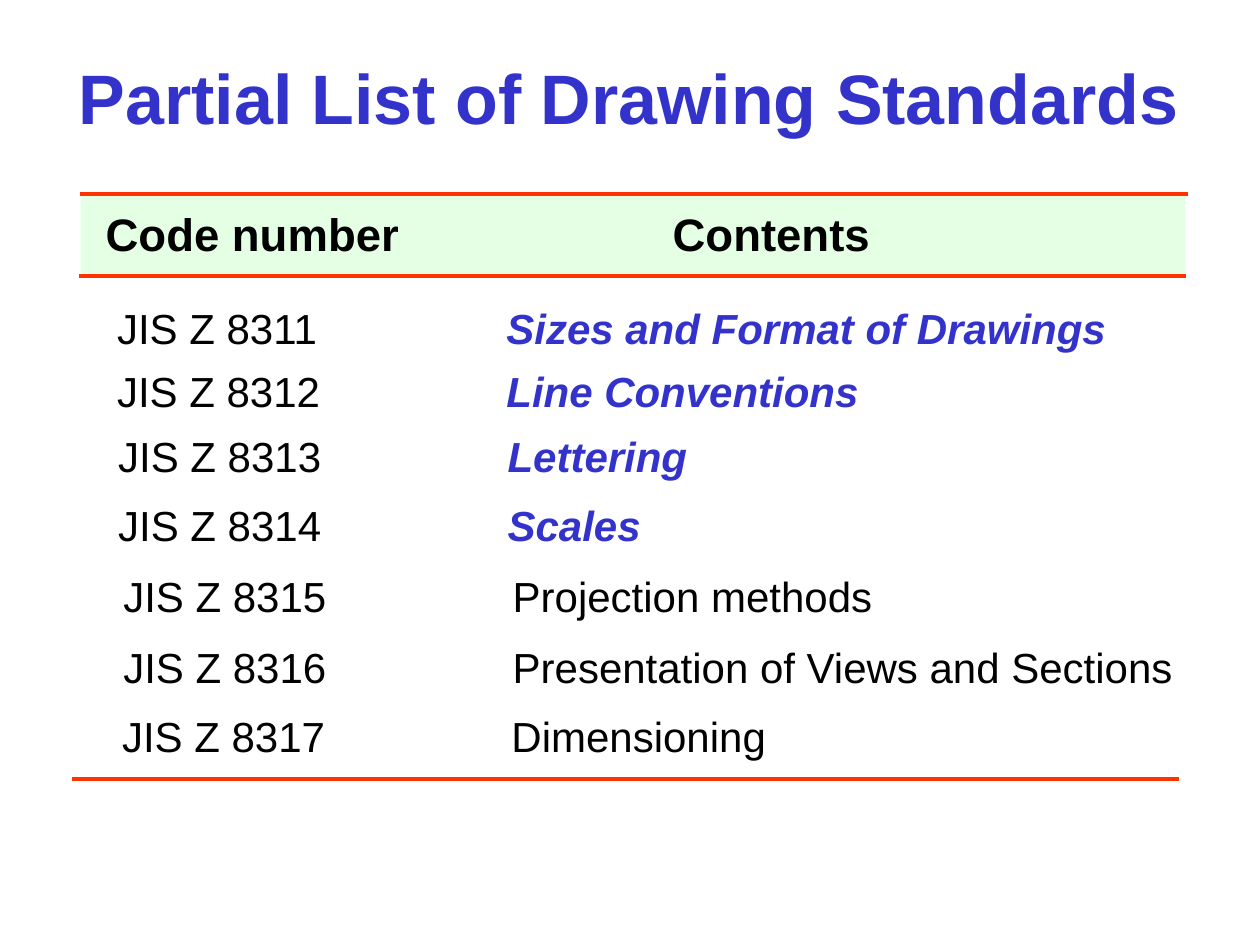
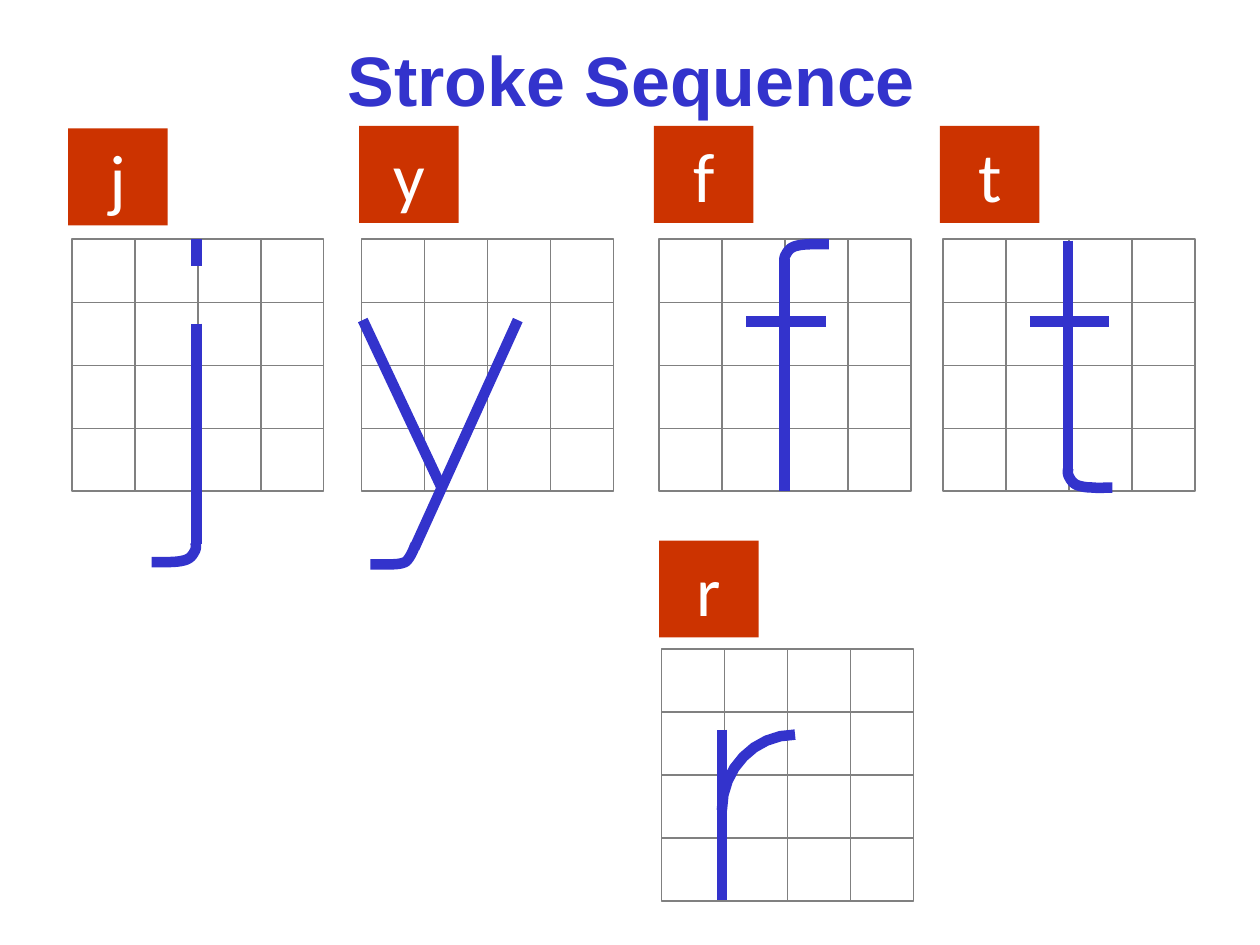
"""Build two slides: a list of drawing standards and letter stroke sequences."""
from dataclasses import dataclass
from typing import NamedTuple

from pptx import Presentation
from pptx.dml.color import RGBColor
from pptx.enum.shapes import MSO_CONNECTOR, MSO_SHAPE
from pptx.enum.text import MSO_ANCHOR, MSO_AUTO_SIZE, PP_ALIGN
from pptx.oxml.xmlchemy import OxmlElement
from pptx.util import Pt

STRAIGHT = MSO_CONNECTOR.STRAIGHT
RECTANGLE = MSO_SHAPE.RECTANGLE
MIDDLE = MSO_ANCHOR.MIDDLE
TOP = MSO_ANCHOR.TOP
NO_AUTOFIT = MSO_AUTO_SIZE.NONE
LEFT = PP_ALIGN.LEFT
CENTER = PP_ALIGN.CENTER


@dataclass(frozen=True)
class Theme:
    """Colours, fonts, type sizes and line widths of the slides."""

    blue: RGBColor = RGBColor(0x33, 0x33, 0xCC)
    black: RGBColor = RGBColor(0, 0, 0)
    white: RGBColor = RGBColor(0xFF, 0xFF, 0xFF)
    rule: RGBColor = RGBColor(0xFF, 0x33, 0x00)
    band: RGBColor = RGBColor(0xCC, 0xFF, 0xCC)
    label: RGBColor = RGBColor(0xCC, 0x33, 0x00)
    grid: RGBColor = RGBColor(0x80, 0x80, 0x80)
    font: str = "Arial"
    label_font: str = "Calibri"
    title_size: float = 40
    header_size: float = 26
    row_size: float = 24
    rule_width: float = 2.25
    grid_width: float = 1
    stroke_width: float = 6


THEME = Theme()


class Point(NamedTuple):
    """A position in points."""

    x: float
    y: float


class Box(NamedTuple):
    """A frame in points."""

    left: float
    top: float
    width: float
    height: float


class Standard(NamedTuple):
    """One row of the list of standards."""

    left: float
    top: float
    code: str
    contents: str
    emphasized: bool = False


class Curve(NamedTuple):
    """A chain of cubic curves, given as offsets from its start."""

    start: Point
    offsets: list[tuple[float, float]]
    flip_x: int = 1
    flip_y: int = 1


@dataclass(frozen=True)
class Letter:
    """A letter with its label, its grid and its strokes on that grid."""

    text: str
    label: Point
    grid: Point
    lines: list[tuple[float, float, float, float]]
    curve: Curve


STANDARDS = [
    Standard(59.8, 169.2, "JIS Z 8311", "Sizes and Format of Drawings", True),
    Standard(59.8, 205.2, "JIS Z 8312", "Line Conventions", True),
    Standard(60.5, 242.6, "JIS Z 8313", "Lettering", True),
    Standard(60.5, 282.2, "JIS Z 8314", "Scales", True),
    Standard(63.4, 322.6, "JIS Z 8315", "Projection methods"),
    Standard(63.4, 362.9, "JIS Z 8316", "Presentation of Views and Sections"),
    Standard(62.7, 402.2, "JIS Z 8317", "Dimensioning"),
]
ROW_WIDTH = 615
ROW_HEIGHT = 36
CONTENTS_TAB = 222.5

CELL = 36
CELLS = 4
GRID_SIZE = CELL * CELLS
LABEL_WIDTH = 56.9
LABEL_HEIGHT = 55.4
CURVE_STEPS = 8

HOOK = [(0, 0.7), (-0.7, 2.9), (0.7, 5), (1.4, 6.5), (2.9, 8.6), (5, 9.4),
        (6.5, 10.1), (10.1, 10.8), (13, 10.8), (16.6, 11.2), (22.3, 10.9), (25.2, 10.9)]
TAIL = [(-0.7, 1.4), (-2.9, 7.9), (-5.8, 10.1), (-8.6, 11.5), (-12.2, 11.5),
        (-15.1, 11.5), (-18.7, 11.5), (-23.8, 11.5), (-25.9, 11.5)]
ARCH = [(-23, 0), (-41.8, 19.4), (-41.8, 43.2)]
CROSSBAR = (49.7, 46.8, 95, 46.8)

LETTERS = [
    Letter("j", Point(38.9, 73.4), Point(41, 136.8),
           [(71.3, 48.2, 71.3, 174.2), (71.3, 0, 71.3, 15.1)],
           Curve(Point(70.8, 173.5), HOOK, flip_x=-1)),
    Letter("y", Point(205.2, 72), Point(206.6, 136.8),
           [(89.3, 46.1, 30.2, 176.4), (0.7, 46.1, 46.1, 142.6)],
           Curve(Point(31, 174.2), TAIL)),
    Letter("f", Point(373.7, 72), Point(376.8, 136.8),
           [(71.6, 144, 71.6, 11.5), CROSSBAR],
           Curve(Point(71.6, 13.7), HOOK, flip_y=-1)),
    Letter("t", Point(537.1, 72), Point(538.8, 136.8),
           [(71.6, 0.7, 71.6, 133.2), CROSSBAR],
           Curve(Point(71.6, 131), HOOK)),
    Letter("r", Point(376.6, 308.9), Point(378, 370.8),
           [(34.6, 46.1, 34.6, 143.3)],
           Curve(Point(76.3, 49), ARCH)),
]


def add_run(paragraph, text: str, size: float, color: RGBColor, font: str = THEME.font,
            bold: bool = False, italic: bool = False) -> None:
    """Append one formatted run to a paragraph."""
    run = paragraph.add_run()
    run.text = text
    run.font.name = font
    run.font.size = Pt(size)
    run.font.color.rgb = color
    run.font.bold = bold
    run.font.italic = italic


def add_text_box(shapes, box: Box):
    """Add a text box that does not wrap and return its paragraph."""
    frame = shapes.add_textbox(*map(Pt, box)).text_frame
    frame.word_wrap = False
    return frame.paragraphs[0]


def add_rectangle(shapes, box: Box):
    """Add a rectangle without shadow, fill or line."""
    shape = shapes.add_shape(RECTANGLE, *map(Pt, box))
    shape.shadow.inherit = False
    shape.fill.background()
    shape.line.fill.background()
    return shape


def set_line(shape, color: RGBColor, width: float) -> None:
    """Set the colour and width of an outline."""
    shape.line.color.rgb = color
    shape.line.width = Pt(width)


def add_line(shapes, start: Point, end: Point, color: RGBColor, width: float) -> None:
    """Draw a straight line without shadow."""
    connector = shapes.add_connector(STRAIGHT, *map(Pt, (*start, *end)))
    set_line(connector, color, width)
    connector._element.spPr.append(OxmlElement("a:effectLst"))


def add_titled_slide(presentation, text: str, box: Box):
    """Add a title-only slide with its title placed and formatted."""
    slide = presentation.slides.add_slide(presentation.slide_layouts[5])
    title = slide.shapes.title
    title.left, title.top, title.width, title.height = map(Pt, box)
    frame = title.text_frame
    frame.auto_size = NO_AUTOFIT
    frame.vertical_anchor = MIDDLE
    paragraph = frame.paragraphs[0]
    paragraph.alignment = CENTER
    add_run(paragraph, text, THEME.title_size, THEME.blue, bold=True)
    return slide


def set_opacity(shape, percent: int) -> None:
    """Make a solid fill partly transparent."""
    alpha = OxmlElement("a:alpha")
    alpha.set("val", str(percent * 1000))
    shape._element.spPr.find(".//{*}srgbClr").append(alpha)


def add_tab_stop(paragraph, position: float) -> None:
    """Give a paragraph one left tab stop."""
    tab_list = OxmlElement("a:tabLst")
    tab = OxmlElement("a:tab")
    tab.set("pos", str(Pt(position)))
    tab.set("algn", "l")
    tab_list.append(tab)
    paragraph._p.get_or_add_pPr().append(tab_list)


def add_list_header(slide) -> None:
    """Draw the header band with its captions and rules."""
    shapes = slide.shapes.add_group_shape().shapes
    band = add_rectangle(shapes, Box(46.1, 111.6, 631.4, 46.1))
    band.fill.solid()
    band.fill.fore_color.rgb = THEME.band
    set_opacity(band, 50)
    for text, box in (("Code number", Box(53.3, 114.2, 182.2, 38.2)),
                      ("Contents", Box(377.3, 114.2, 127.4, 38.2))):
        add_run(add_text_box(shapes, box), text, THEME.header_size, THEME.black, bold=True)
    for left, top in ((45, 157.7), (46, 110.9)):
        add_rule(shapes, left, top)


def add_rule(shapes, left: float, top: float) -> None:
    """Draw one horizontal rule of the list."""
    add_line(shapes, Point(left, top), Point(left + 633, top), THEME.rule, THEME.rule_width)


def add_standard(slide, row: Standard) -> None:
    """Write one standard with its contents at the tab stop."""
    paragraph = add_text_box(slide.shapes, Box(row.left, row.top, ROW_WIDTH, ROW_HEIGHT))
    paragraph.alignment = LEFT
    add_tab_stop(paragraph, CONTENTS_TAB)
    add_run(paragraph, f"{row.code}\t", THEME.row_size, THEME.black)
    color = THEME.blue if row.emphasized else THEME.black
    add_run(paragraph, row.contents, THEME.row_size, color,
            bold=row.emphasized, italic=row.emphasized)


def add_label(slide, letter: Letter) -> None:
    """Draw the coloured label of a letter."""
    shape = add_rectangle(slide.shapes, Box(*letter.label, LABEL_WIDTH, LABEL_HEIGHT))
    shape.fill.solid()
    shape.fill.fore_color.rgb = THEME.label
    shape.text_frame.vertical_anchor = TOP
    paragraph = shape.text_frame.paragraphs[0]
    paragraph.alignment = CENTER
    add_run(paragraph, letter.text, THEME.title_size, THEME.white, THEME.label_font)


def add_grid(slide, origin: Point) -> None:
    """Draw a square grid as one group."""
    shapes = slide.shapes.add_group_shape().shapes
    frame = add_rectangle(shapes, Box(*origin, GRID_SIZE, GRID_SIZE))
    set_line(frame, THEME.grid, THEME.grid_width)
    right, bottom = origin.x + GRID_SIZE, origin.y + GRID_SIZE
    for index in range(1, CELLS):
        x, y = origin.x + index * CELL, origin.y + index * CELL
        for start, end in ((Point(x, origin.y), Point(x, bottom)),
                           (Point(origin.x, y), Point(right, y))):
            add_line(shapes, start, end, THEME.grid, THEME.grid_width)


def trace_curve(curve: Curve, origin: Point) -> list[Point]:
    """Return points along a chain of cubic curves."""
    left, top = origin.x + curve.start.x, origin.y + curve.start.y
    knots = [Point(left + x * curve.flip_x, top + y * curve.flip_y)
             for x, y in [(0, 0), *curve.offsets]]
    points = knots[:1]
    for first in range(0, len(knots) - 1, 3):
        for step in range(1, CURVE_STEPS + 1):
            t = step / CURVE_STEPS
            weights = ((1 - t) ** 3, 3 * t * (1 - t) ** 2, 3 * t * t * (1 - t), t ** 3)
            pairs = list(zip(weights, knots[first:first + 4]))
            points.append(Point(sum(w * knot.x for w, knot in pairs),
                                sum(w * knot.y for w, knot in pairs)))
    return points


def add_strokes(slide, letter: Letter) -> None:
    """Draw the straight and curved strokes of a letter."""
    left, top = letter.grid
    for x1, y1, x2, y2 in letter.lines:
        add_line(slide.shapes, Point(left + x1, top + y1), Point(left + x2, top + y2),
                 THEME.blue, THEME.stroke_width)
    start, *rest = [(Pt(x), Pt(y)) for x, y in trace_curve(letter.curve, letter.grid)]
    builder = slide.shapes.build_freeform(*start)
    builder.add_line_segments(rest, close=False)
    shape = builder.convert_to_shape()
    shape.shadow.inherit = False
    shape.fill.background()
    set_line(shape, THEME.blue, THEME.stroke_width)


def main() -> None:
    """Build and save the presentation."""
    presentation = Presentation()
    presentation.slide_width, presentation.slide_height = Pt(720), Pt(540)

    slide = add_titled_slide(presentation, "Partial List of Drawing Standards",
                             Box(37.4, 27.2, 643.7, 55.4))
    slide.shapes.title.text_frame.word_wrap = False
    for row in STANDARDS:
        add_standard(slide, row)
    add_rule(slide.shapes, 41, 445)
    add_list_header(slide)

    slide = add_titled_slide(presentation, "Stroke Sequence", Box(54.7, 0, 612, 90))
    for letter in LETTERS:
        add_label(slide, letter)
        add_grid(slide, letter.grid)
        add_strokes(slide, letter)

    presentation.save("out.pptx")


if __name__ == "__main__":
    main()
